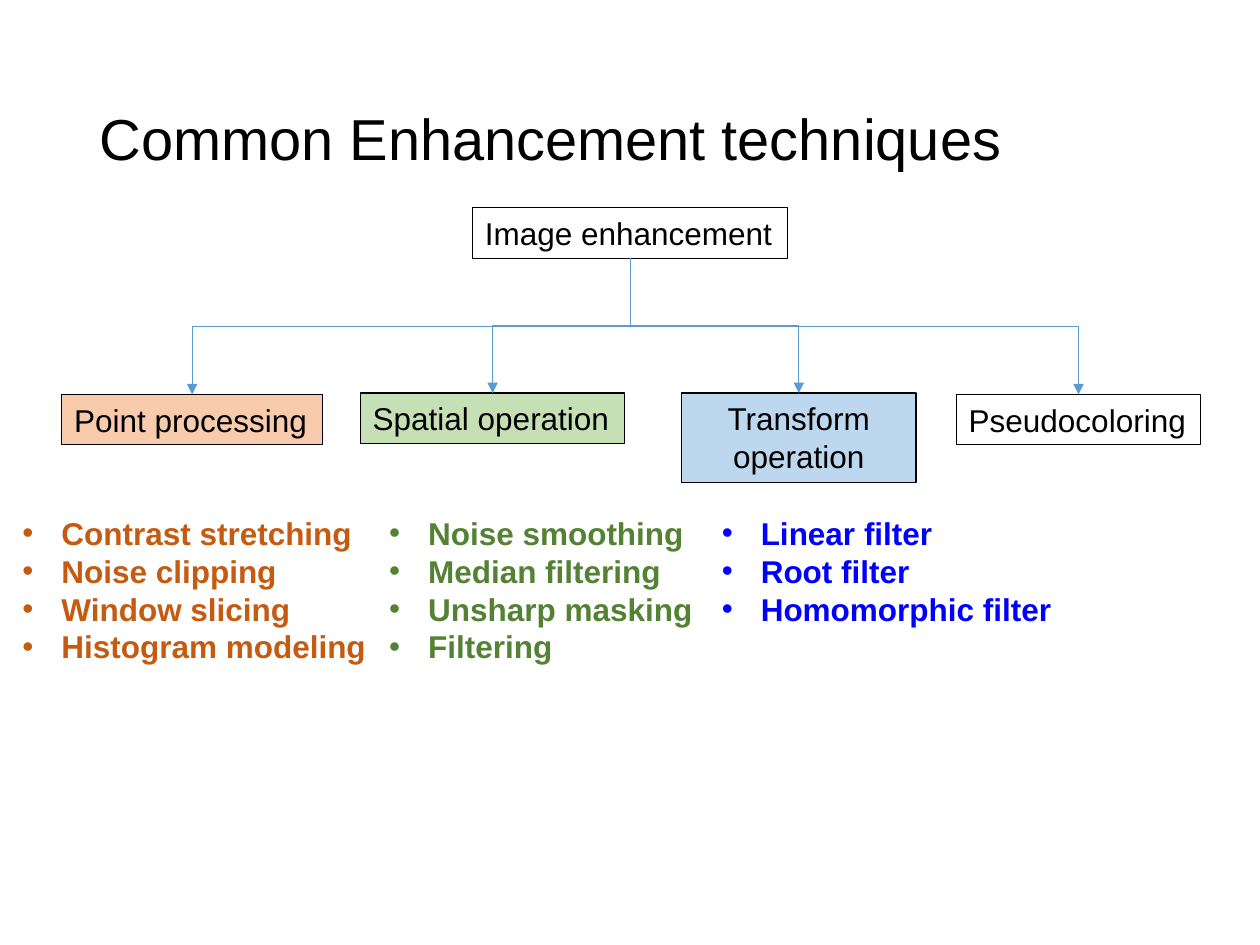
import dataclasses

import pptx
import pptx.dml.color
import pptx.enum.shapes
import pptx.enum.text
import pptx.oxml
import pptx.oxml.ns
import pptx.presentation
import pptx.shapes.autoshape
import pptx.slide
import pptx.text.text
import pptx.util

Inches = pptx.util.Inches
Pt = pptx.util.Pt
RGBColor = pptx.dml.color.RGBColor
Alignment = pptx.enum.text.PP_ALIGN
Anchor = pptx.enum.text.MSO_ANCHOR
AutoSize = pptx.enum.text.MSO_AUTO_SIZE

FONT = "Arial"
BLACK = RGBColor(0x00, 0x00, 0x00)
PEACH = RGBColor(0xF8, 0xCB, 0xAD)
LIGHT_GREEN = RGBColor(0xC5, 0xE0, 0xB4)
LIGHT_BLUE = RGBColor(0xBD, 0xD7, 0xEE)
ORANGE = RGBColor(0xC5, 0x5A, 0x11)
GREEN = RGBColor(0x54, 0x82, 0x35)
BLUE = RGBColor(0x00, 0x00, 0xFF)
CONNECTOR_BLUE = RGBColor(0x5B, 0x9B, 0xD5)

# Connection sites of a rectangle
TOP_SITE, BOTTOM_SITE = 0, 2


@dataclasses.dataclass
class Box:
    text: str
    left: float
    top: float
    width: float
    height: float = 0.4
    fill: RGBColor | None = None
    wrap: bool = False


@dataclasses.dataclass
class TechniqueList:
    left: float
    width: float
    height: float
    color: RGBColor
    items: list[str]


ROOT = Box("Image enhancement", 3.75, 1.65, 2.5)
CATEGORIES = [
    Box("Point processing", 0.49, 3.13, 2.07, fill=PEACH),
    Box("Spatial operation", 2.86, 3.12, 2.1, fill=LIGHT_GREEN),
    Box("Transform operation", 5.41, 3.12, 1.86, 0.71, LIGHT_BLUE, wrap=True),
    Box("Pseudocoloring", 7.59, 3.13, 1.94),
]
LIST_TOP = 4.03
TECHNIQUES = [
    TechniqueList(0.08, 2.96, 1.31, ORANGE, [
        "Contrast stretching", "Noise clipping", "Window slicing", "Histogram modeling"]),
    TechniqueList(2.99, 2.64, 1.31, GREEN, [
        "Noise smoothing", "Median filtering", "Unsharp masking", "Filtering"]),
    TechniqueList(5.63, 2.85, 1.01, BLUE, [
        "Linear filter", "Root filter", "Homomorphic filter"]),
]


def add_run(paragraph: pptx.text.text._Paragraph, text: str, size: float,
            color: RGBColor = BLACK, bold: bool = False) -> None:
    run = paragraph.add_run()
    run.text = text
    run.font.name = FONT
    run.font.size = Pt(size)
    run.font.bold = bold
    run.font.color.rgb = color


def add_title(slide: pptx.slide.Slide, text: str) -> None:
    title = slide.shapes.title
    title.left, title.top = Inches(0.69), Inches(0.4)
    title.width, title.height = Inches(8.62), Inches(1.45)
    title.text_frame.auto_size = AutoSize.NONE
    title.text_frame.vertical_anchor = Anchor.MIDDLE
    paragraph = title.text_frame.paragraphs[0]
    paragraph.alignment = Alignment.LEFT
    paragraph.line_spacing = 0.9
    add_run(paragraph, text, 33)


def add_box(slide: pptx.slide.Slide, box: Box) -> pptx.shapes.autoshape.Shape:
    shape = slide.shapes.add_shape(
        pptx.enum.shapes.MSO_SHAPE.RECTANGLE,
        Inches(box.left), Inches(box.top), Inches(box.width), Inches(box.height))
    shape.shadow.inherit = False
    if box.fill is None:
        shape.fill.background()
    else:
        shape.fill.solid()
        shape.fill.fore_color.rgb = box.fill
    shape.line.color.rgb = BLACK
    shape.line.width = Pt(0.75)
    text_frame = shape.text_frame
    text_frame.word_wrap = box.wrap
    text_frame.auto_size = AutoSize.SHAPE_TO_FIT_TEXT
    text_frame.vertical_anchor = Anchor.TOP
    paragraph = text_frame.paragraphs[0]
    paragraph.alignment = Alignment.CENTER if box.wrap else Alignment.LEFT
    add_run(paragraph, box.text, 18)
    return shape


def add_branch(slide: pptx.slide.Slide, parent: pptx.shapes.autoshape.Shape,
               child: pptx.shapes.autoshape.Shape) -> None:
    start_x, start_y = parent.left + parent.width // 2, parent.top + parent.height
    end_x, end_y = child.left + child.width // 2, child.top
    connector = slide.shapes.add_connector(
        pptx.enum.shapes.MSO_CONNECTOR.ELBOW, start_x, start_y, end_x, end_y)
    connector.begin_connect(parent, BOTTOM_SITE)
    connector.end_connect(child, TOP_SITE)

    # A quarter turn makes the elbow leave downwards; its frame keeps the same centre
    drop, spread = end_y - start_y, abs(end_x - start_x)
    connector.left = (start_x + end_x - drop) // 2
    connector.top = (start_y + end_y - spread) // 2
    connector.width, connector.height = drop, spread
    goes_right = end_x > start_x
    properties = connector._element.spPr
    transform = properties.find(pptx.oxml.ns.qn("a:xfrm"))
    transform.set("rot", str((270 if goes_right else 90) * 60000))
    transform.set("flipH", "1" if goes_right else "0")
    transform.set("flipV", "0")

    connector.line.color.rgb = CONNECTOR_BLUE
    connector.line.width = Pt(0.5)
    line = properties.find(pptx.oxml.ns.qn("a:ln"))
    line.append(pptx.oxml.parse_xml(
        f'<a:tailEnd {pptx.oxml.ns.nsdecls("a")} type="triangle"/>'))
    properties.append(pptx.oxml.parse_xml(
        f'<a:effectLst {pptx.oxml.ns.nsdecls("a")}/>'))


def add_bullet(paragraph: pptx.text.text._Paragraph) -> None:
    properties = paragraph._p.get_or_add_pPr()
    properties.set("marL", str(Inches(0.31)))
    properties.set("indent", str(-Inches(0.31)))
    for xml in ('<a:buFont {} typeface="Arial"/>', '<a:buChar {} char="•"/>'):
        properties.append(pptx.oxml.parse_xml(xml.format(pptx.oxml.ns.nsdecls("a"))))


def add_technique_list(slide: pptx.slide.Slide, techniques: TechniqueList) -> None:
    text_box = slide.shapes.add_textbox(
        Inches(techniques.left), Inches(LIST_TOP),
        Inches(techniques.width), Inches(techniques.height))
    text_frame = text_box.text_frame
    text_frame.word_wrap = False
    text_frame.auto_size = AutoSize.SHAPE_TO_FIT_TEXT
    for index, item in enumerate(techniques.items):
        paragraph = text_frame.add_paragraph() if index else text_frame.paragraphs[0]
        add_bullet(paragraph)
        add_run(paragraph, item, 18, techniques.color, bold=True)


def main() -> None:
    presentation = pptx.Presentation()
    presentation.slide_width, presentation.slide_height = Inches(10), Inches(7.5)
    slide = presentation.slides.add_slide(
        presentation.slide_layouts.get_by_name("Title Only"))

    add_title(slide, "Common Enhancement techniques")

    # Tree of categories
    root = add_box(slide, ROOT)
    categories = [add_box(slide, box) for box in CATEGORIES]
    for category in categories:
        add_branch(slide, root, category)

    # Techniques under each category
    for techniques in TECHNIQUES:
        add_technique_list(slide, techniques)

    presentation.save("out.pptx")


if __name__ == "__main__":
    main()
